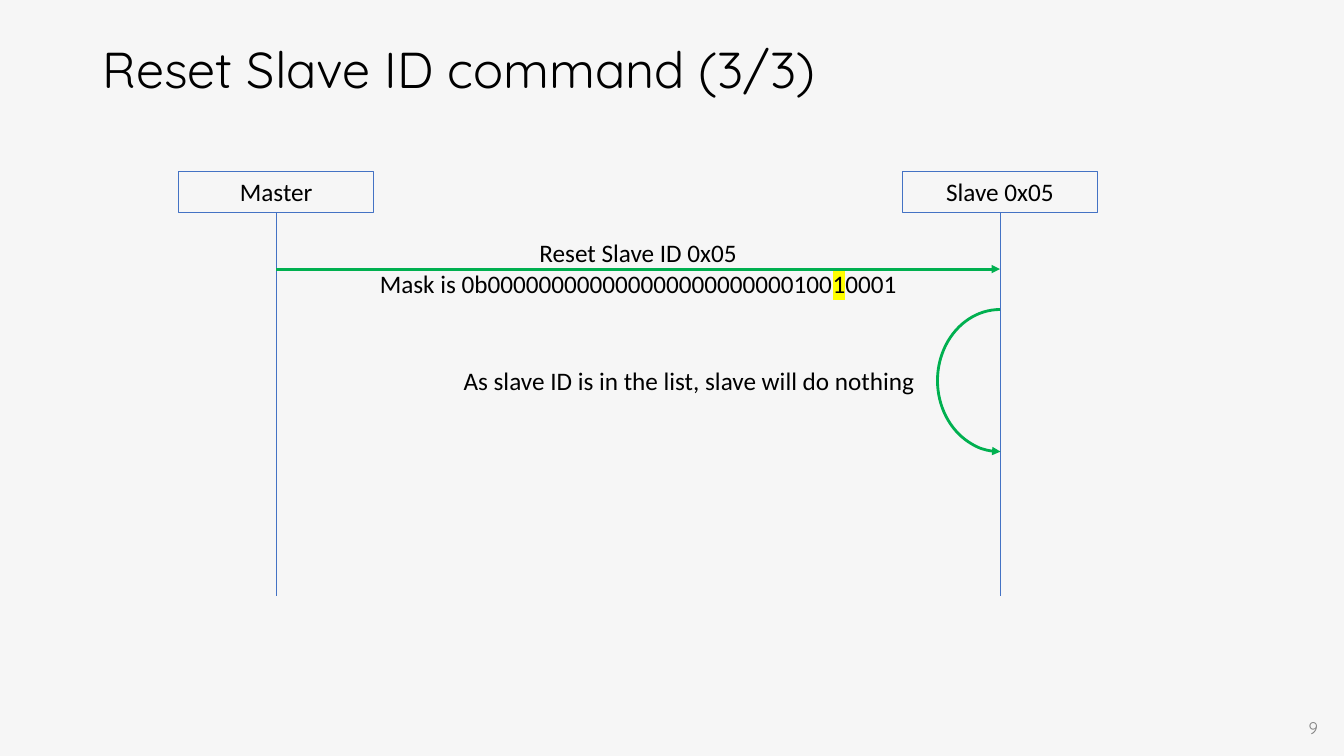
from lxml import etree
from pptx import Presentation
from pptx import util as u
from pptx.dml.color import RGBColor
from pptx.enum import shapes, text
from pptx.oxml import ns

BACK = RGBColor(0xF6, 0xF6, 0xF6)
BLACK = RGBColor(0, 0, 0)
GREY = RGBColor(0x80, 0x80, 0x80)
BLUE = RGBColor(0x44, 0x72, 0xC4)
GREEN = RGBColor(0, 0xB0, 0x50)
MARK = RGBColor(0xFF, 0xFF, 0)

# The slide is a grid of 100 columns by 100 rows
WIDE, HIGH = u.Inches(13.33), u.Inches(7.5)
HEAD_W, HEAD_H = 14.55, 5.4
LEFT, MID, RIGHT = text.PP_ALIGN.LEFT, text.PP_ALIGN.CENTER, text.PP_ALIGN.RIGHT


def grid(col, row):
    return round(col * WIDE / 100), round(row * HIGH / 100)


def place(x, y, w, h):
    return *grid(x, y), *grid(w, h)


def child(parent, tag, **attrs):
    return etree.SubElement(parent, ns.qn(tag), **attrs)


def style(para, size=18, font="Calibri", color=BLACK, align=MID):
    para.alignment = align
    para.font.size = u.Pt(size)
    para.font.name = font
    para.font.color.rgb = color


def label(slide, box, lines, **look):
    frame = slide.shapes.add_textbox(*place(*box)).text_frame
    frame.word_wrap = True
    frame.text = "\n".join(lines)
    for para in frame.paragraphs:
        style(para, **look)
    return frame


def stroke(shape, color, width, arrow=False):
    shape.line.color.rgb = color
    shape.line.width = u.Pt(width)
    if arrow:
        child(shape.line._get_or_add_ln(), "a:tailEnd", type="triangle")


def wire(slide, start, end, color, width, arrow=False):
    line = slide.shapes.add_connector(
        shapes.MSO_CONNECTOR.STRAIGHT, *grid(*start), *grid(*end))
    stroke(line, color, width, arrow)
    child(line._element.spPr, "a:effectLst")
    return line


def actor(slide, name, x, y, end):
    """Draw a named box at x, y and its lifeline down to row end."""
    head = slide.shapes.add_shape(
        shapes.MSO_SHAPE.RECTANGLE, *place(x, y, HEAD_W, HEAD_H))
    head.shadow.inherit = False
    head.fill.background()
    stroke(head, BLUE, 0.75)
    head.text_frame.text = name
    style(head.text_frame.paragraphs[0])
    mid = x + HEAD_W / 2
    line = wire(slide, (mid, y + HEAD_H), (mid, end), BLUE, 0.5)
    line.begin_connect(head, 2)
    return mid


def loop(slide, mid, y, w, h):
    """Draw a half turn that leaves and rejoins the lifeline at mid."""
    arc = slide.shapes.add_shape(
        shapes.MSO_SHAPE.ARC, *place(mid - w / 2, y, w, h))
    arc.shadow.inherit = False
    arc.fill.background()
    arc.adjustments[0], arc.adjustments[1] = 162, 54.26
    arc._element.spPr.xfrm.set("flipH", "1")
    stroke(arc, GREEN, 2, True)


def sequence(slide, x, y, w, h):
    # Actors
    master = actor(slide, "Master", x, y, y + h)
    slave = actor(slide, "Slave 0x05", x + w - HEAD_W, y, y + h)

    # Message with the marked mask bit
    frame = label(slide, (master, y + 8.13, slave - master, 9.47),
                  ["Reset Slave ID 0x05", ""])
    mask = frame.paragraphs[1]
    for part in ("Mask is 0b000000000000000000000000100", "1", "0001"):
        mask.add_run().text = part
    tint = child(mask.runs[1]._r.get_or_add_rPr(), "a:highlight")
    child(tint, "a:srgbClr", val=str(MARK))
    wire(slide, (master, y + 12.93), (slave, y + 12.93), GREEN, 2, True)

    # Reaction of the slave
    loop(slide, slave, y + 18.27, 9.3, 18.8)
    label(slide, (x + 20.47, y + 24.93, 36.75, 5.33),
          ["As slave ID is in the list, slave will do nothing"], align=LEFT)


def title(slide, box, words):
    frame = label(slide, box, [words], size=36, font="Quicksand", align=LEFT)
    frame.paragraphs[0].line_spacing = 0.9


def number(slide, box, value):
    frame = label(slide, box, [value], size=12, font="Quicksand",
                  color=GREY, align=RIGHT)
    frame.vertical_anchor = text.MSO_ANCHOR.BOTTOM


def main():
    deck = Presentation()
    deck.slide_width, deck.slide_height = WIDE, HIGH
    slide = deck.slides.add_slide(deck.slide_layouts[6])
    slide.background.fill.solid()
    slide.background.fill.fore_color.rgb = BACK
    title(slide, (6.9, 5.33, 86.27, 16.27), "Reset Slave ID command (3/3)")
    sequence(slide, 13.28, 22.67, 68.4, 56.13)
    number(slide, (76.3, 92.93, 22.5, 5.33), "9")
    deck.save("out.pptx")


if __name__ == "__main__":
    main()
